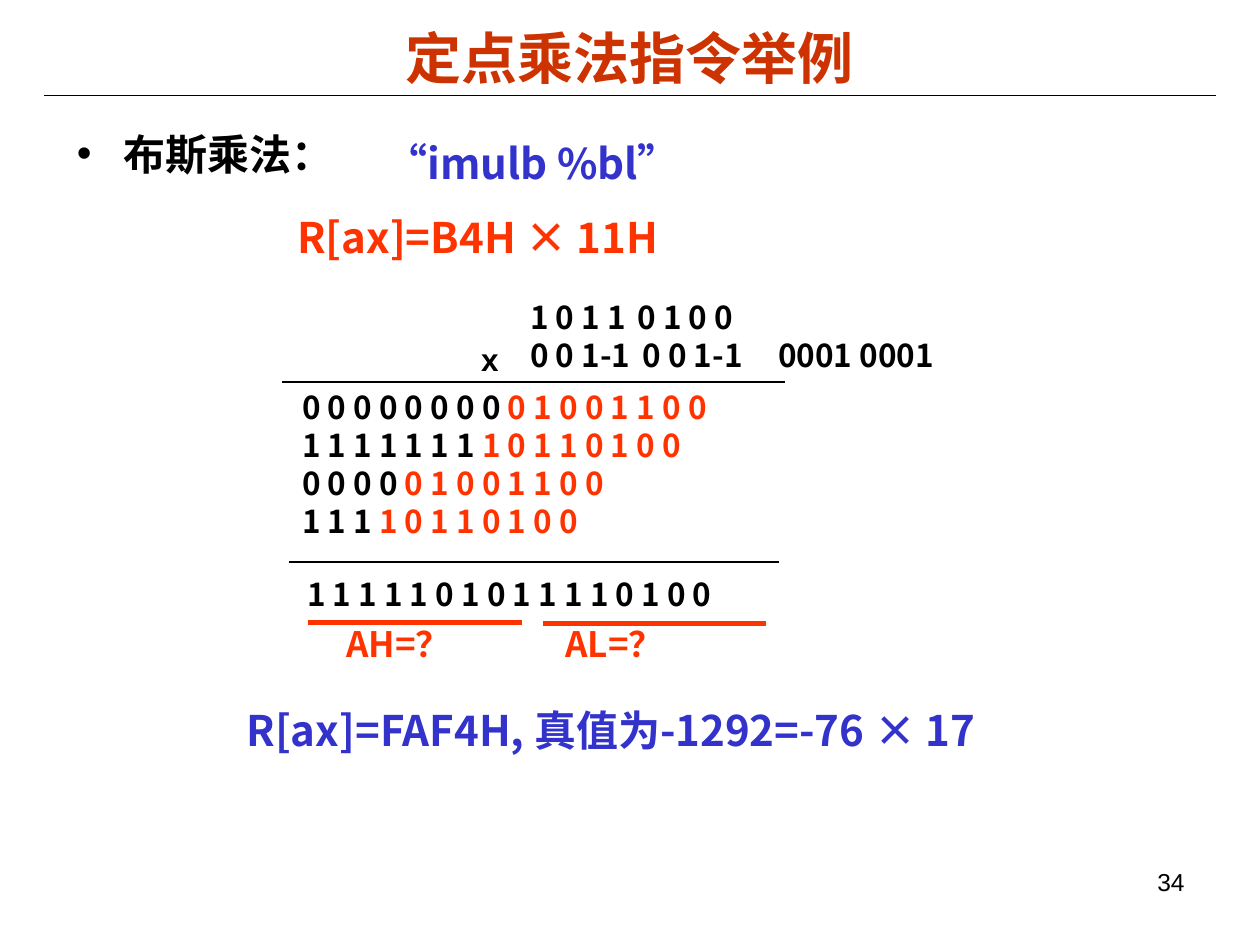
from lxml import etree
from pptx import Presentation
from pptx.dml.color import RGBColor
from pptx.enum.shapes import MSO_CONNECTOR
from pptx.enum.text import MSO_ANCHOR, PP_ALIGN
from pptx.oxml.ns import qn
from pptx.util import Cm, Pt

STRAIGHT = MSO_CONNECTOR.STRAIGHT
MIDDLE = MSO_ANCHOR.MIDDLE
CENTER, RIGHT = PP_ALIGN.CENTER, PP_ALIGN.RIGHT
BLACK = RGBColor(0x00, 0x00, 0x00)
RUST = RGBColor(0xCC, 0x33, 0x00)
ORANGE = RGBColor(0xFF, 0x33, 0x00)
BLUE = RGBColor(0x33, 0x33, 0xCC)
LATIN, CJK = "Arial", "Noto Sans CJK SC"


def add_text(left, top, width, height, lines, size, color=BLACK, font=CJK, bold=True):
    """Each line is a list of (text, color) spans; a color of None means the default."""
    box = page.shapes.add_textbox(Cm(left), Cm(top), Cm(width), Cm(height))
    frame = box.text_frame
    frame.word_wrap = True
    for index, spans in enumerate(lines):
        para = frame.paragraphs[0] if index == 0 else frame.add_paragraph()
        for text, span_color in spans:
            span = para.add_run()
            span.text = text
            span.font.size = Pt(size)
            span.font.bold = bold
            span.font.name = font
            span.font.color.rgb = span_color or color
            east_asian = etree.SubElement(span.font._element, qn("a:ea"))
            east_asian.set("typeface", CJK)
    return frame


deck = Presentation()
deck.slide_width, deck.slide_height = Cm(25.4), Cm(19.05)
page = deck.slides.add_slide(deck.slide_layouts[6])

# Rules: left, top, right, color, weight
for left, top, right, color, weight in [
    (0.89, 1.93, 24.51, BLACK, 0.75),
    (5.69, 7.7, 15.82, BLACK, 0.75),
    (5.82, 11.33, 15.7, BLACK, 0.75),
    (6.2, 12.55, 10.52, ORANGE, 3),
    (10.95, 12.57, 15.44, ORANGE, 3),
]:
    rule = page.shapes.add_connector(STRAIGHT, Cm(left), Cm(top), Cm(right), Cm(top))
    rule.line.color.rgb = color
    rule.line.width = Pt(weight)
    etree.SubElement(rule._element.spPr, qn("a:effectLst"))

title = add_text(1.27, 0.38, 22.86, 1.55, [[("定点乘法指令举例", RUST)]], 32, font=LATIN)
title.vertical_anchor = MIDDLE
title.paragraphs[0].alignment = CENTER

topic = add_text(1.3, 2.31, 22.86, 14.5, [[("布斯乘法：", None)]], 24, font=LATIN)
topic_para = topic.paragraphs[0]
topic_para.line_spacing = 1.15
properties = topic_para._p.get_or_add_pPr()
properties.set("marL", str(Cm(0.95)))
properties.set("indent", str(-Cm(0.95)))
etree.SubElement(properties, qn("a:buFont")).set("typeface", LATIN)
etree.SubElement(properties, qn("a:buChar")).set("char", "•")

# Operands, with tab stops between the digit groups
operands = add_text(
    10.44, 5.89, 13.39, 1.78,
    [[("1 0 1 1\t0 1 0 0", None)], [("0 0 1-1\t0 0 1-1\t0001 0001", None)]], 18,
)
for para, stops in zip(operands.paragraphs, [(2.16,), (2.26, 5)]):
    tab_list = etree.SubElement(para._p.get_or_add_pPr(), qn("a:tabLst"))
    for stop in stops:
        etree.SubElement(tab_list, qn("a:tab"), pos=str(Cm(stop)), algn="l")
add_text(9.45, 6.73, 1.37, 1.02, [[("x", None)]], 18, font=LATIN)

# Partial products: sign digit, how often it is extended, product
partial_products = [
    ("0", 8, "0 1 0 0 1 1 0 0"),
    ("1", 7, "1 0 1 1 0 1 0 0"),
    ("0", 4, "0 1 0 0 1 1 0 0"),
    ("1", 3, "1 0 1 1 0 1 0 0"),
]
product_lines = [
    [((sign + " ") * count, BLACK), (digits, ORANGE)]
    for sign, count, digits in partial_products
]
add_text(5.84, 7.7, 10.24, 3.3, product_lines, 18)

# Single-line texts: left, top, width, height, text, size, color
for left, top, width, height, text, size, color in [
    (5.94, 11.46, 9.88, 1.02, "1 1 1 1 1 0 1 0 1 1 1 1 0 1 0 0", 18, BLACK),
    (11.15, 12.42, 4.14, 1.12, "AL=？", 20, ORANGE),
    (6.73, 12.42, 3.96, 1.12, "AH=？", 20, ORANGE),
    (4.72, 14.07, 16.89, 1.27, "R[ax]=FAF4H, 真值为-1292=-76 × 17", 24, BLUE),
    (5.74, 4.14, 9.25, 1.27, "R[ax]=B4H × 11H", 24, ORANGE),
    (7.52, 2.64, 7.85, 1.27, "“imulb %bl”", 24, BLUE),
]:
    add_text(left, top, width, height, [[(text, color)]], size)

number = add_text(18.21, 17.35, 5.92, 1.32, [[("34", None)]], 14, font=LATIN, bold=False)
number.paragraphs[0].alignment = RIGHT

deck.save("out.pptx")
